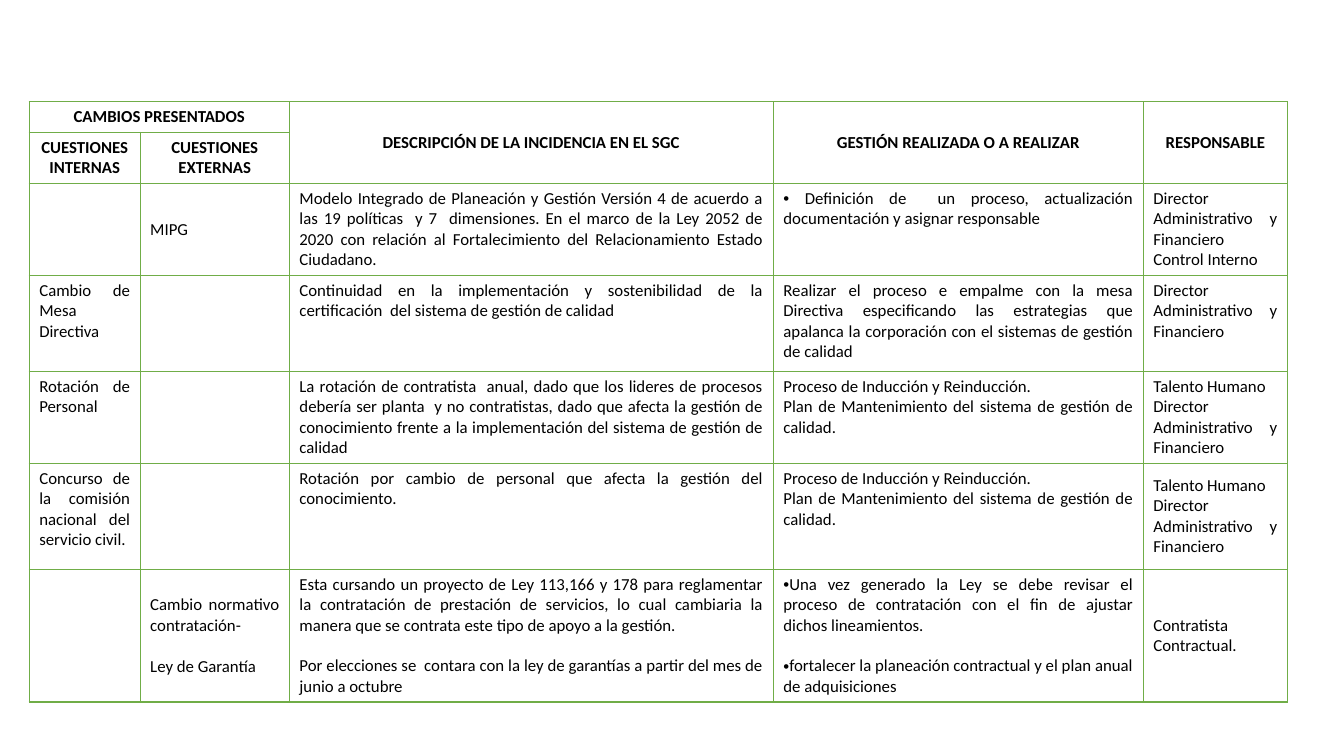
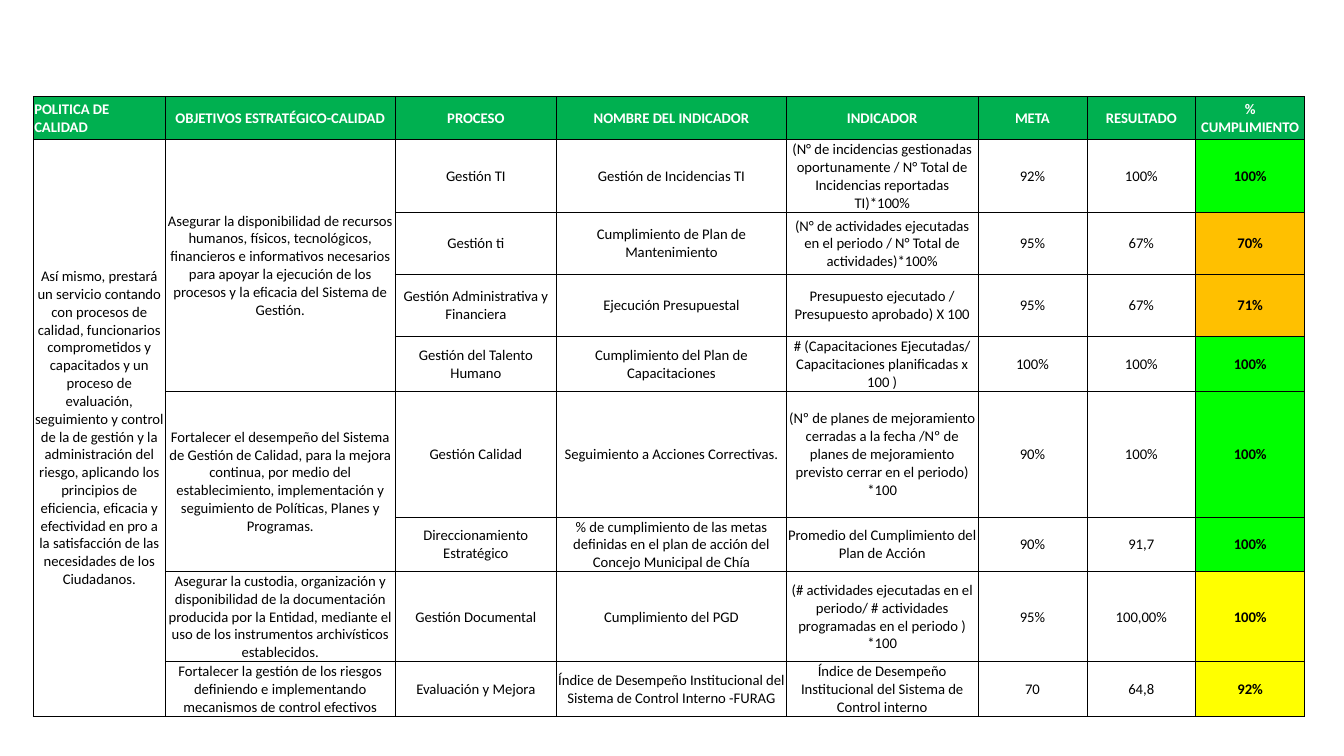
from dataclasses import dataclass, replace
from typing import Optional

from lxml.etree import SubElement
from pptx import Presentation
from pptx.dml.color import RGBColor
from pptx.enum.text import MSO_ANCHOR as Anchor, PP_ALIGN as Align
from pptx.oxml.ns import qn
from pptx.util import Inches, Pt

FONT = "Calibri"
COLORS = {
    "white": "FFFFFF", "black": "000000", "border": "70AD47", "header": "00B050",
    "full": "00FF00", "partial": "FFC000", "watch": "FFFF00",
}


@dataclass(frozen=True)
class Entry:
    text: str = ""
    fill: str = "white"
    color: str = "black"
    bold: bool = False
    align: Align = Align.CENTER
    anchor: Anchor = Anchor.MIDDLE
    bullet: bool = False
    gap: float = 0
    rows: int = 1
    columns: int = 1


@dataclass(frozen=True)
class Layout:
    left: float
    top: float
    columns: list[float]
    rows: list[float]
    size: float
    margins: tuple[float, float, float, float]
    line: str
    line_width: float


Grid = list[list[Optional[Entry]]]


def rgb(name: str) -> RGBColor:
    return RGBColor.from_string(COLORS[name])


def add_bullet(para) -> None:
    properties = para._p.get_or_add_pPr()
    properties.set("marL", "0")
    properties.set("indent", "0")
    SubElement(properties, qn("a:buFont"), typeface="Arial")
    SubElement(properties, qn("a:buChar"), char="•")


def write_text(frame, text: str, *, size: float, color: str, bold: bool,
               align: Align, bullet: bool, gap: float) -> None:
    """Write one paragraph per line of text, with gap points between them."""
    for index, line in enumerate(text.split("\n")):
        para = frame.add_paragraph() if index else frame.paragraphs[0]
        para.alignment = align
        if index and gap:
            para.space_before = Pt(gap)
        if bullet:
            add_bullet(para)
        if not line:
            SubElement(para._p, qn("a:endParaRPr"), sz=str(int(size * 100)))
            continue
        span = para.add_run()
        span.text = line
        span.font.name = FONT
        span.font.size = Pt(size)
        span.font.bold = bold
        span.font.color.rgb = rgb(color)


def set_borders(cell, color: str, width: float) -> None:
    properties = cell._tc.get_or_add_tcPr()
    for index, side in enumerate(("a:lnL", "a:lnR", "a:lnT", "a:lnB")):
        line = properties.makeelement(qn(side), {"w": str(Pt(width))})
        fill = SubElement(line, qn("a:solidFill"))
        SubElement(fill, qn("a:srgbClr"), val=COLORS[color])
        properties.insert(index, line)


def format_cell(cell, entry: Entry, layout: Layout) -> None:
    (cell.margin_left, cell.margin_top,
     cell.margin_right, cell.margin_bottom) = map(Inches, layout.margins)
    cell.vertical_anchor = entry.anchor
    cell.fill.solid()
    cell.fill.fore_color.rgb = rgb(entry.fill)
    set_borders(cell, layout.line, layout.line_width)
    write_text(cell.text_frame, entry.text, size=layout.size, color=entry.color,
               bold=entry.bold, align=entry.align, bullet=entry.bullet, gap=entry.gap)


def add_grid(page, layout: Layout, grid: Grid) -> None:
    """Draw a table; None stands for a cell covered by a merged neighbour."""
    table = page.shapes.add_table(
        len(layout.rows), len(layout.columns), Inches(layout.left), Inches(layout.top),
        Inches(sum(layout.columns)), Inches(sum(layout.rows))).table
    table.first_row = table.horz_banding = False
    for column, width in zip(table.columns, layout.columns):
        column.width = Inches(width)
    for row, height in zip(table.rows, layout.rows):
        row.height = Inches(height)
    for top, entries in enumerate(grid):
        for left, entry in enumerate(entries):
            cell = table.cell(top, left)
            format_cell(cell, entry or Entry(), layout)
            if entry and (entry.rows > 1 or entry.columns > 1):
                cell.merge(table.cell(top + entry.rows - 1, left + entry.columns - 1))


def heading(text: str, rows: int = 1, columns: int = 1) -> Entry:
    return Entry(text, bold=True, rows=rows, columns=columns)


def note(text: str = "", anchor: Anchor = Anchor.TOP, bullet: bool = False,
         gap: float = 0) -> Entry:
    return Entry(text, align=Align.JUSTIFY, anchor=anchor, bullet=bullet, gap=gap)


def banner(text: str) -> Entry:
    return Entry(text, fill="header", color="white", bold=True)


def indicator(process: str, name: str, formula: str, goal: str, result: str,
              score: str, level: str) -> list[Entry]:
    values = [Entry(text) for text in (process, name, formula, goal, result)]
    return values + [Entry(score, fill=level, bold=True)]


CHANGES_LAYOUT = Layout(
    left=0.29, top=1.01, columns=[1.1, 1.48, 4.8, 3.67, 1.43],
    rows=[0.3, 0.5, 0.91, 0.95, 0.91, 1.05, 1.31], size=12,
    margins=(0.1, 0.05, 0.1, 0.05), line="border", line_width=1)

DIRECTOR = "Director Administrativo y Financiero"
PARAGRAPH_GAP = 14.6
MIDDLE = Anchor.MIDDLE
TRAINING = note("Proceso de Inducción y Reinducción.\n"
                "Plan de Mantenimiento del sistema de gestión de calidad.")
TALENT = note(f"Talento Humano\n{DIRECTOR}", MIDDLE)

CHANGES: Grid = [
    [heading("CAMBIOS PRESENTADOS", columns=2), None,
     heading("DESCRIPCIÓN DE LA INCIDENCIA EN EL SGC", rows=2),
     heading("GESTIÓN REALIZADA O A REALIZAR", rows=2),
     heading("RESPONSABLE", rows=2)],
    [heading("CUESTIONES INTERNAS"), heading("CUESTIONES EXTERNAS"), None, None, None],
    [note(), note("MIPG", MIDDLE),
     note("Modelo Integrado de Planeación y Gestión Versión 4 de acuerdo a las 19 "
          "políticas  y 7  dimensiones. En el marco de la Ley 2052 de 2020 con relación "
          "al Fortalecimiento del Relacionamiento Estado Ciudadano."),
     note(" Definición de  un proceso, actualización documentación y asignar responsable",
          bullet=True),
     note(f"{DIRECTOR}\nControl Interno")],
    [note("Cambio de Mesa Directiva"), note(),
     note("Continuidad en la implementación y sostenibilidad de la certificación  del "
          "sistema de gestión de calidad"),
     note("Realizar el proceso e empalme con la mesa Directiva especificando las "
          "estrategias que apalanca la corporación con el sistemas de gestión de calidad"),
     note(DIRECTOR)],
    [note("Rotación de Personal"), note(),
     note("La rotación de contratista  anual, dado que los lideres de procesos debería "
          "ser planta  y no contratistas, dado que afecta la gestión de conocimiento "
          "frente a la implementación del sistema de gestión de calidad"),
     TRAINING, TALENT],
    [note("Concurso de la comisión nacional del servicio civil."), note(),
     note("Rotación por cambio de personal que afecta la gestión del conocimiento."),
     TRAINING, TALENT],
    [note(), note("Cambio normativo contratación-\nLey de Garantía", MIDDLE,
                  gap=PARAGRAPH_GAP),
     note("Esta cursando un proyecto de Ley 113,166 y 178 para reglamentar la "
          "contratación de prestación de servicios, lo cual cambiaria la manera que se "
          "contrata este tipo de apoyo a la gestión.\n"
          "Por elecciones se  contara con la ley de garantías a partir del mes de junio "
          "a octubre", gap=PARAGRAPH_GAP),
     note("Una vez generado la Ley se debe revisar el proceso de contratación con el fin "
          "de ajustar dichos lineamientos.\n"
          "fortalecer la planeación contractual y el plan anual de adquisiciones",
          bullet=True, gap=PARAGRAPH_GAP),
     note("Contratista Contractual.", MIDDLE)],
]

RESULTS_LAYOUT = Layout(
    left=0.33, top=0.96, columns=[1.31, 2.28, 1.6, 2.28, 1.9, 1.08, 1.08, 1.08],
    rows=[0.42, 0.73, 0.61, 0.62, 0.54, 1.25, 0.54, 0.89, 0.54], size=10.5,
    margins=(0.01, 0.01, 0.01, 0), line="black", line_width=0.5)

RESULTS: Grid = [
    [replace(banner("POLITICA DE CALIDAD"), align=Align.LEFT)]
    + [banner(text) for text in (
        "OBJETIVOS ESTRATÉGICO-CALIDAD", "PROCESO", "NOMBRE DEL INDICADOR", "INDICADOR",
        "META", "RESULTADO", "% CUMPLIMIENTO")],
    [Entry("Así mismo, prestará un servicio contando con procesos de calidad, "
           "funcionarios comprometidos y capacitados y un proceso de evaluación, "
           "seguimiento y control de la de gestión y la administración del riesgo, "
           "aplicando los principios de eficiencia, eficacia y efectividad en pro a la "
           "satisfacción de las necesidades de los Ciudadanos.", rows=8),
     Entry("Asegurar la disponibilidad de recursos humanos, físicos, tecnológicos, "
           "financieros e informativos necesarios para apoyar la ejecución de los "
           "procesos y la eficacia del Sistema de Gestión.", rows=4),
     *indicator("Gestión TI", "Gestión de Incidencias TI",
                "(N° de incidencias gestionadas oportunamente / N° Total de Incidencias "
                "reportadas TI)*100%", "92%", "100%", "100%", "full")],
    [None, None,
     *indicator("Gestión ti", "Cumplimiento de Plan de Mantenimiento",
                "(N° de actividades ejecutadas en el periodo / N° Total de "
                "actividades)*100%", "95%", "67%", "70%", "partial")],
    [None, None,
     *indicator("Gestión Administrativa y Financiera", "Ejecución Presupuestal",
                "Presupuesto ejecutado / Presupuesto aprobado) X 100",
                "95%", "67%", "71%", "partial")],
    [None, None,
     *indicator("Gestión del Talento Humano", "Cumplimiento del Plan de Capacitaciones",
                "# (Capacitaciones Ejecutadas/ Capacitaciones planificadas x 100 )",
                "100%", "100%", "100%", "full")],
    [None,
     Entry("Fortalecer el desempeño del Sistema de Gestión de Calidad, para la mejora "
           "continua, por medio del establecimiento, implementación y seguimiento de "
           "Políticas, Planes y Programas.", rows=2),
     *indicator("Gestión Calidad", "Seguimiento a Acciones Correctivas.",
                "(Nº de planes de mejoramiento cerradas a la fecha /Nº de planes de "
                "mejoramiento previsto cerrar en el periodo) *100",
                "90%", "100%", "100%", "full")],
    [None, None,
     *indicator("Direccionamiento Estratégico",
                "% de cumplimiento de las metas definidas en el plan de acción del "
                "Concejo Municipal de Chía",
                "Promedio del Cumplimiento del Plan de Acción",
                "90%", "91,7", "100%", "full")],
    [None,
     Entry("Asegurar la custodia, organización y disponibilidad de la documentación "
           "producida por la Entidad, mediante el uso de los instrumentos archivísticos "
           "establecidos."),
     *indicator("Gestión Documental", "Cumplimiento del PGD",
                "(# actividades ejecutadas en el periodo/ # actividades programadas en "
                "el periodo ) *100", "95%", "100,00%", "100%", "watch")],
    [None,
     Entry("Fortalecer la gestión de los riesgos definiendo e implementando mecanismos "
           "de control efectivos"),
     *indicator("Evaluación y Mejora",
                "Índice de Desempeño Institucional del Sistema de Control Interno -FURAG",
                "Índice de Desempeño Institucional del Sistema de Control interno",
                "70", "64,8", "92%", "watch")],
]


def main() -> None:
    deck = Presentation()
    deck.slide_width, deck.slide_height = Inches(13.33), Inches(7.5)
    blank = deck.slide_layouts[6]
    for layout, grid in ((CHANGES_LAYOUT, CHANGES), (RESULTS_LAYOUT, RESULTS)):
        add_grid(deck.slides.add_slide(blank), layout, grid)
    deck.save("out.pptx")


if __name__ == "__main__":
    main()
